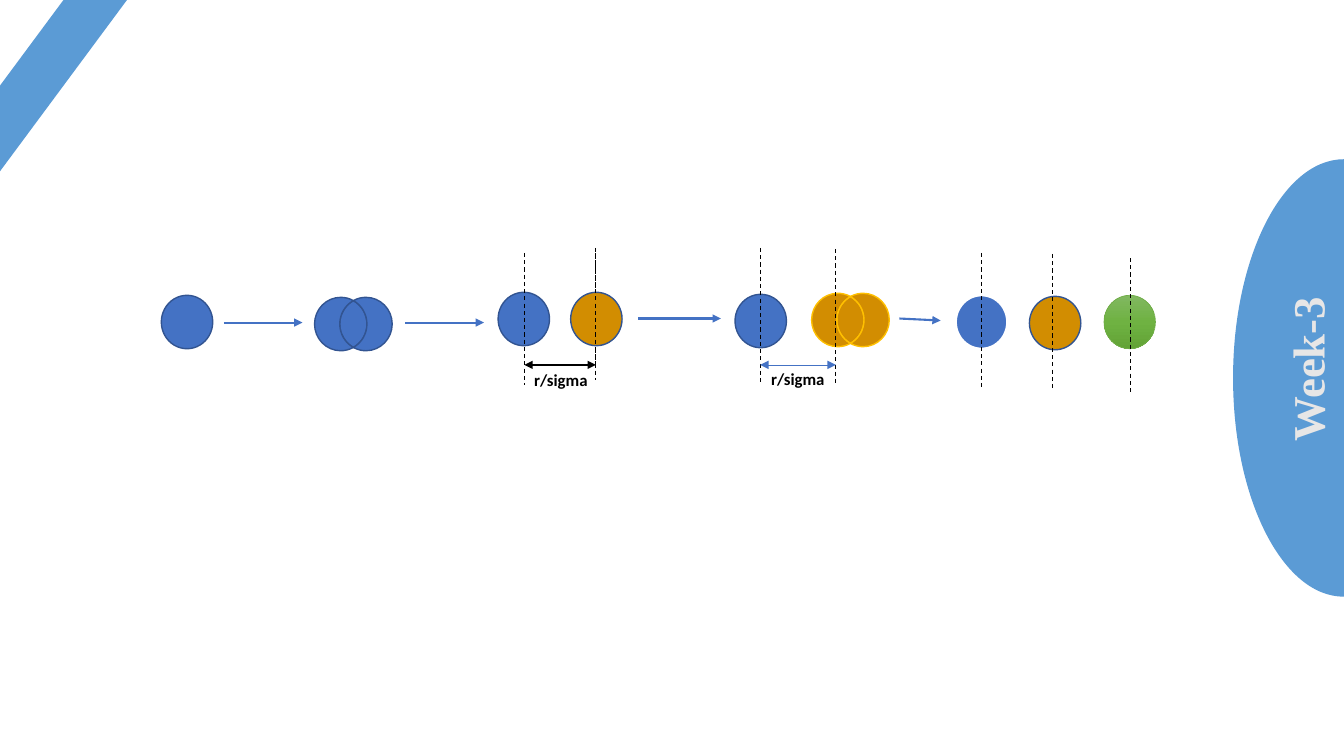
import copy
import math

from pptx import Presentation
from pptx import util as u
from pptx.dml import color
from pptx.enum import dml, shapes, text
from pptx.oxml import ns, xmlchemy

COLORS = {
    "accent": "5B9BD5", "label": "E7E6E6", "blue": "4472C4", "navy": "325491",
    "orange": "D28D01", "gold": "FFC000", "black": "000000", "white": "FFFFFF",
    "green": "70AD47", "green_top": "81B861", "green_mid": "6FB242", "green_end": "62A336",
}
CELL_W, CELL_H = 0.51, 0.53


def rgb(name):
    return color.RGBColor.from_string(COLORS[name])


def arc(center_x, center_y, radius_x, radius_y, start, end):
    """Bezier points of an elliptic arc in degrees, cut at each quarter turn."""
    def point(angle, slope=0.0):
        cos, sin = math.cos(angle), math.sin(angle)
        return (center_x + radius_x * (cos - slope * sin),
                center_y + radius_y * (sin + slope * cos))

    cuts = [start, *(a for a in range(-360, 361, 90) if start < a < end), end]
    cuts = [math.radians(a) for a in cuts]
    points = [point(cuts[0])]
    for a, b in zip(cuts, cuts[1:]):
        reach = 4 / 3 * math.tan((b - a) / 4)
        points += [point(a, reach), point(b, -reach), point(b)]
    return points


class Diagram:
    def __init__(self, page):
        self.page = page

    def style(self, shape, fill, line=None, width=1):
        shape.shadow.inherit = False
        shape.fill.solid()
        shape.fill.fore_color.rgb = rgb(fill)
        if line:
            shape.line.color.rgb = rgb(line)
            shape.line.width = u.Pt(width)
        else:
            shape.line.fill.background()
        return shape

    def preset(self, kind, left, top, width, height, fill, line=None, weight=1):
        shape = self.page.shapes.add_shape(
            kind, u.Inches(left), u.Inches(top), u.Inches(width), u.Inches(height))
        return self.style(shape, fill, line, weight)

    def cell(self, left, top, fill, line="navy", weight=1):
        return self.preset(shapes.MSO_SHAPE.OVAL, left, top, CELL_W, CELL_H,
                           fill, line, weight)

    def outline(self, points, fill, line=None):
        """Freeform whose points after the first are taken in threes as curves."""
        points = [(u.Inches(x), u.Inches(y)) for x, y in points]
        builder = self.page.shapes.build_freeform(*points[0])
        builder.add_line_segments(points[1:], close=True)
        shape = builder.convert_to_shape()
        steps = list(shape.element.iter(ns.qn("a:lnTo")))
        for i in range(0, len(steps), 3):
            curve = xmlchemy.OxmlElement("a:cubicBezTo")
            steps[i].addprevious(curve)
            for step in steps[i:i + 3]:
                curve.append(step[0])
                step.getparent().remove(step)
        return self.style(shape, fill, line)

    def dividing_cell(self, left, top, fill, line):
        """Two overlapping cells, made of a lens and two crescents."""
        radius_x, radius_y, shift = 0.26, CELL_H / 2, 0.25
        middle = top + radius_y
        first, second = left + radius_x, left + radius_x + shift
        half = math.degrees(math.acos(shift / 2 / radius_x))

        def part(center, start, end):
            return arc(center, middle, radius_x, radius_y, start, end)

        lens_right = part(first, -half, half)
        lens_left = part(second, 180 - half, 180 + half)
        left_side = part(first, half, 360 - half)
        right_side = part(second, half - 180, 180 - half)
        self.outline(lens_right + lens_left[1:], fill, line)
        self.outline(left_side + lens_left[-2::-1], fill, line)
        self.outline(right_side + lens_right[-2::-1], fill, line)

    def connector(self, start, end, line, width, dashed=False, ends=()):
        link = self.page.shapes.add_connector(
            shapes.MSO_CONNECTOR.STRAIGHT, *(u.Inches(v) for v in (*start, *end)))
        link.line.color.rgb = rgb(line)
        link.line.width = u.Pt(width)
        if dashed:
            link.line.dash_style = dml.MSO_LINE.DASH
        properties = link.element.spPr
        for tag in ends:
            head = xmlchemy.OxmlElement(tag)
            head.set("type", "triangle")
            properties.find(ns.qn("a:ln")).append(head)
        properties.append(xmlchemy.OxmlElement("a:effectLst"))

    def arrow(self, start, end):
        self.connector(start, end, "blue", 1.5, ends=["a:tailEnd"])

    def axis(self, x, top, bottom):
        self.connector((x, top), (x, bottom), "black", 0.75, dashed=True)

    def distance(self, left, right, line, width):
        self.connector((left, 3.62), (right, 3.62), line, width,
                       ends=["a:headEnd", "a:tailEnd"])

    def text(self, words, left, top, width, height, font, size, ink,
             wrap=True, rotation=0, after=0):
        box = self.page.shapes.add_textbox(
            u.Inches(left), u.Inches(top), u.Inches(width), u.Inches(height))
        box.rotation = rotation
        box.text_frame.word_wrap = wrap
        box.text_frame.auto_size = text.MSO_AUTO_SIZE.SHAPE_TO_FIT_TEXT
        para = box.text_frame.paragraphs[0]
        para.text = words
        para.space_after = u.Pt(after)
        para.font.name, para.font.size, para.font.bold = font, u.Pt(size), True
        para.font.color.rgb = rgb(ink)

    def sigma(self, left, top):
        self.text("r/sigma", left, top, 0.74, 0.3, "Calibri", 12, "black", wrap=False)

    def shade(self, shape, names):
        """Top-to-bottom gradient through three evenly spaced colours."""
        shape.fill.gradient()
        shape.fill.gradient_angle = 270
        stops = shape.element.spPr.find(".//" + ns.qn("a:gsLst"))
        stops.insert(1, copy.deepcopy(stops[0]))
        for i, (stop, name) in enumerate(zip(shape.fill.gradient_stops, names)):
            stop.position = i / 2
            stop.color.rgb = rgb(name)


def main():
    deck = Presentation()
    deck.slide_width, deck.slide_height = u.Inches(13.33), u.Inches(7.5)
    diagram = Diagram(deck.slides.add_slide(deck.slide_layouts[6]))

    # Week tab and corner stripe
    diagram.outline(arc(13.33, 3.75, 1.1, 2.17, 90, 270), "accent")
    diagram.text("Week-3", 11.97, 3.16, 1.99, 0.64, "Times New Roman", 32, "label",
                 rotation=270, after=6)
    diagram.preset(shapes.MSO_SHAPE.DIAGONAL_STRIPE, 0, 0, 1.26, 1.7, "accent")

    # Single cell, then its division
    diagram.cell(1.6, 2.93, "blue")
    diagram.dividing_cell(3.12, 2.95, "blue", "navy")
    for left in (2.22, 4.02):
        diagram.arrow((left, 3.2), (left + 0.78, 3.2))

    # Two cells at distance r/sigma
    diagram.distance(5.2, 5.91, "black", 1.5)
    diagram.axis(5.91, 2.46, 3.77)
    diagram.cell(4.94, 2.9, "blue")
    diagram.cell(5.66, 2.9, "orange")
    diagram.axis(5.2, 2.51, 3.82)
    diagram.sigma(5.2, 3.62)
    diagram.arrow((6.33, 3.16), (7.15, 3.16))

    # The second cell divides
    diagram.cell(7.29, 2.92, "blue")
    diagram.cell(9.48, 2.93, "blue", "white", 1.5)
    diagram.dividing_cell(8.05, 2.91, "orange", "gold")
    diagram.axis(5.91, 2.51, 3.62)
    diagram.axis(7.54, 2.46, 3.82)
    diagram.axis(8.29, 2.47, 3.83)
    diagram.distance(7.54, 8.29, "blue", 0.5)
    diagram.sigma(7.55, 3.61)

    # Three resulting cells
    diagram.cell(10.21, 2.94, "orange")
    green_cell = diagram.cell(10.95, 2.93, "green", "green", 0.5)
    diagram.shade(green_cell, ["green_top", "green_mid", "green_end"])
    diagram.arrow((8.92, 3.16), (9.33, 3.18))
    for x, top in ((9.73, 2.51), (11.21, 2.56), (10.44, 2.52)):
        diagram.axis(x, top, top + 1.36)

    deck.save("out.pptx")


if __name__ == "__main__":
    main()
